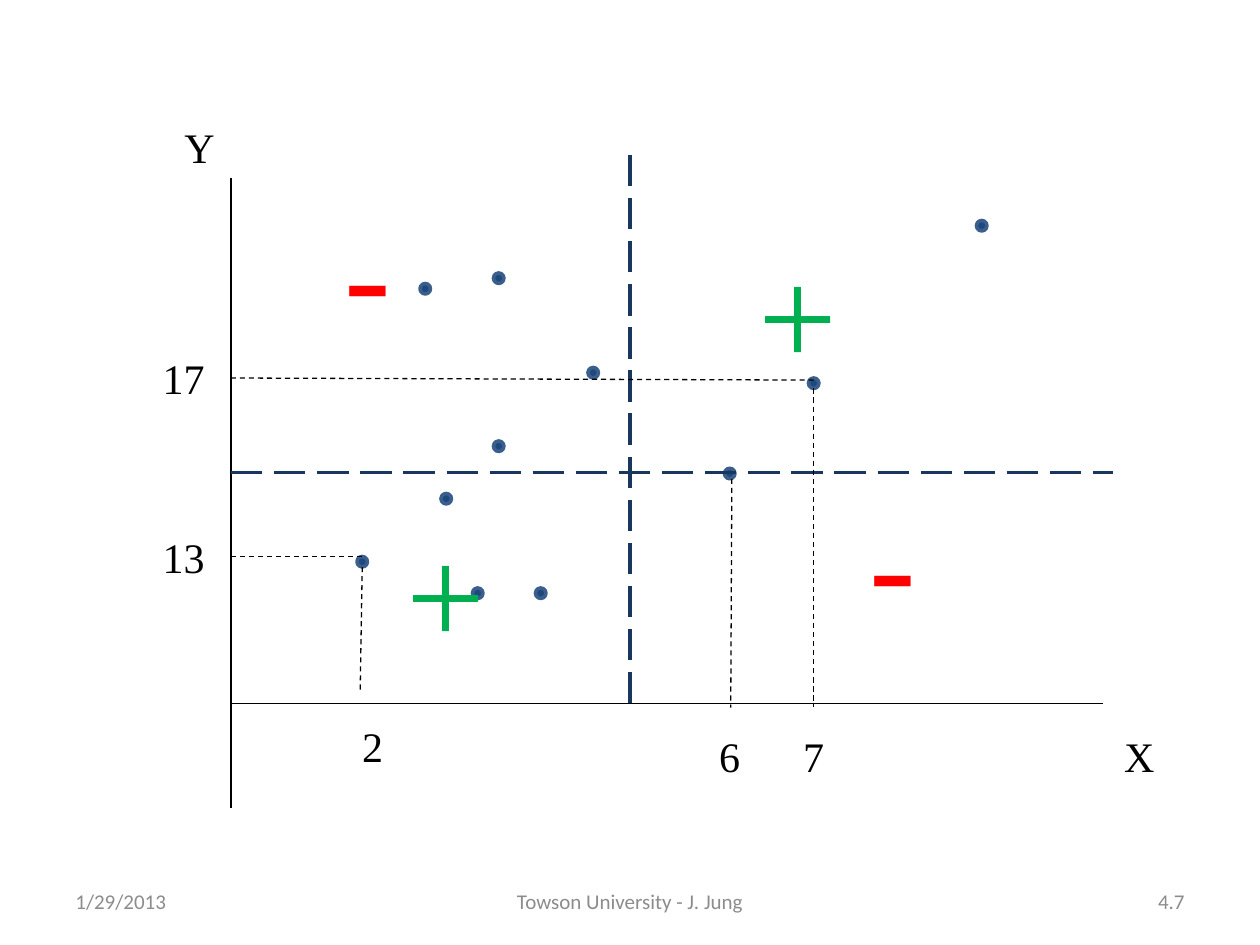
import pptx
import pptx.util
import pptx.dml.color
import pptx.enum.dml
import pptx.enum.shapes
import pptx.enum.text
import pptx.oxml.ns
from lxml import etree

ALIGN = pptx.enum.text.PP_ALIGN
DASH = pptx.enum.dml.MSO_LINE
ANCHOR = pptx.enum.text.MSO_ANCHOR

# Content: all positions are in grid units, 12 to the inch (120 x 90)
UNIT = 1 / 12
LEFT, BASE = 22, 67  # y axis column, x axis row
BLACK, NAVY, GREEN, RED = "000000", "17375E", "00B050", "FF0000"
FOOTER = [("1/29/2013", 6, 28, ALIGN.LEFT),
          ("Towson University - J. Jung", 41, 38, ALIGN.CENTER),
          ("4.7", 86, 28, ALIGN.RIGHT)]
AXES = [(LEFT, 17, LEFT, 77), (LEFT, BASE, 105, BASE)]
MEANS = [(60, BASE, 60, 14), (LEFT, 45, 106, 45)]
GUIDES = [(34.5, 54, 34.3, 66), (34.5, 53, LEFT, 53),
          (69.7, 45.6, 69.6, 67.4), (77.5, 37, 77.5, 67.3),
          (77.5, 36.2, LEFT, 36)]
DOTS = [(34, 53), (42, 47), (47, 42), (40, 27), (56, 35), (45, 56),
        (69, 44.6), (77, 36), (51, 56), (47, 26), (93, 21)]
LABELS = [("X", 105, 69, 7), ("Y", 16, 11, 6), ("2", 32, 68, 7),
          ("13", 14, 50, 7), ("6", 66, 69, 7), ("7", 74, 69, 7),
          ("17", 14, 33, 7)]
SIGNS = [("+", 69, 21, 14, GREEN), ("+", 37, 47.6, 11, GREEN),
         ("-", 78, 44.6, 14, RED), ("-", 28, 17, 14, RED)]


def grid(*units):
    return [pptx.util.Inches(u * UNIT) for u in units]


def rgb(color):
    return pptx.dml.color.RGBColor.from_string(color)


def add_text(s, text, box, size, color, font="Times New Roman",
             align=ALIGN.CENTER, anchor=ANCHOR.TOP):
    tf = s.shapes.add_textbox(*grid(*box)).text_frame
    tf.word_wrap = True
    tf.vertical_anchor = anchor
    p = tf.paragraphs[0]
    p.text = text
    p.alignment = align
    p.font.name, p.font.size = font, pptx.util.Pt(size)
    p.font.color.rgb = rgb(color)


def add_line(s, ends, color, width, dash=None):
    line = s.shapes.add_connector(
        pptx.enum.shapes.MSO_CONNECTOR.STRAIGHT, *grid(*ends))
    line.line.color.rgb = rgb(color)
    line.line.width = pptx.util.Pt(width)
    if dash:
        line.line.dash_style = dash
    etree.SubElement(line._element.spPr, pptx.oxml.ns.qn("a:effectLst"))


def add_dot(s, x, y):
    dot = s.shapes.add_shape(
        pptx.enum.shapes.MSO_SHAPE.OVAL, *grid(x, y, 1, 1))
    dot.shadow.inherit = False
    dot.fill.solid()
    dot.fill.fore_color.rgb = rgb("1F497D")
    dot.line.color.rgb = rgb("3A5F8C")
    dot.line.width = pptx.util.Pt(2)


def main():
    prs = pptx.Presentation()
    prs.slide_width, prs.slide_height = grid(120, 90)
    s = prs.slides.add_slide(prs.slide_layouts[6])

    # Footer
    for text, x, width, align in FOOTER:
        add_text(s, text, (x, 83.4, width, 4.8), 12, "8C8C8C", "Calibri",
                 align, ANCHOR.MIDDLE)

    # Axes, points, mean lines and guides
    for ends in AXES:
        add_line(s, ends, BLACK, 0.75)
    for x, y in DOTS:
        add_dot(s, x, y)
    for ends in MEANS:
        add_line(s, ends, NAVY, 2.25, DASH.LONG_DASH)
    for ends in GUIDES:
        add_line(s, ends, BLACK, 0.75, DASH.DASH)

    # Axis labels and quadrant signs
    for text, x, y, width in LABELS:
        add_text(s, text, (x, y, width, 6), 24, BLACK)
    for text, x, y, width, color in SIGNS:
        add_text(s, text, (x, y, width, 17.4), 80, color)

    prs.save("out.pptx")


if __name__ == "__main__":
    main()
